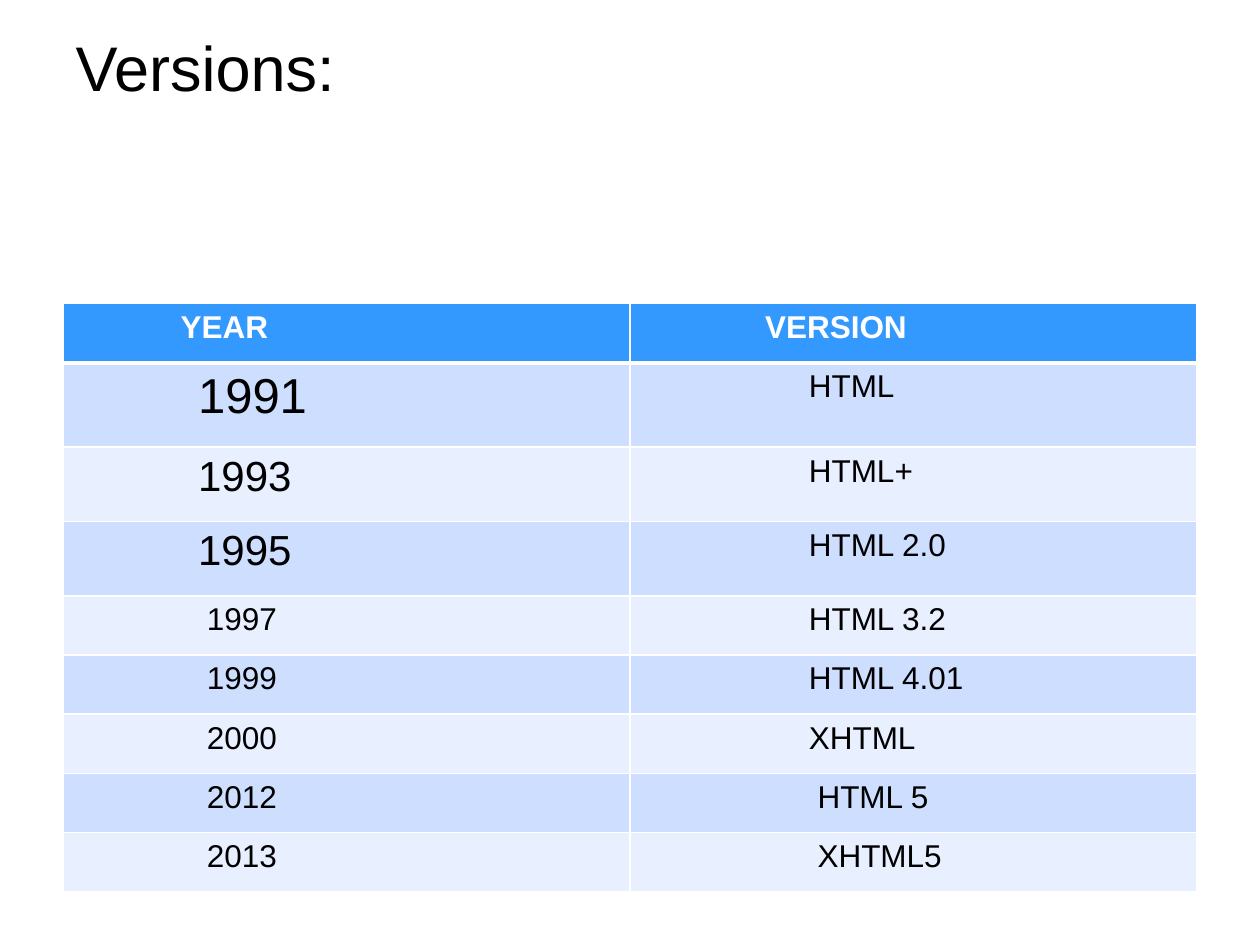
from dataclasses import dataclass

from lxml import etree
from pptx import Presentation
from pptx.dml.color import RGBColor
from pptx.enum import text
from pptx.oxml import ns
from pptx.util import Pt


@dataclass(frozen=True)
class Theme:
    font: str = "Arial"
    ink: str = "000000"
    paper: str = "FFFFFF"
    header: str = "3399FF"
    bands: tuple = ("CEDEFF", "E8EFFF")
    title_size: int = 36
    body_size: int = 18
    thin: int = 1
    thick: int = 3


@dataclass(frozen=True)
class Box:
    left: float
    top: float
    width: float
    height: float


THEME = Theme()
MARGIN = 7.2
HEADINGS = (("YEAR", 60), ("VERSION", 70))
VERSIONS = (
    ("1991", 28, 70, "HTML", 95),
    ("1993", 24, 70, "HTML+", 95),
    ("1995", 24, 70, "HTML 2.0", 95),
    ("1997", 18, 75, "HTML 3.2", 95),
    ("1999", 18, 75, "HTML 4.01", 95),
    ("2000", 18, 75, "XHTML", 95),
    ("2012", 18, 75, "HTML 5", 100),
    ("2013", 18, 75, "XHTML5", 100),
)
ROW_HEIGHTS = {18: 33.84, 24: 42.48, 28: 48.24}


def style_font(font, size, color, bold=False):
    font.name = THEME.font
    font.size = Pt(size)
    font.bold = bold
    font.color.rgb = RGBColor.from_string(color)


def set_borders(cell, top, bottom):
    properties = cell._tc.get_or_add_tcPr()
    widths = {"lnL": THEME.thin, "lnR": THEME.thin, "lnT": top, "lnB": bottom}
    for side, width in widths.items():
        line = etree.SubElement(properties, ns.qn(f"a:{side}"), w=str(Pt(width)))
        fill = etree.SubElement(line, ns.qn("a:solidFill"))
        etree.SubElement(fill, ns.qn("a:srgbClr"), val=THEME.paper)


def fill_cell(cell, words, indent, size, color, fill, bold=False):
    cell.fill.solid()
    cell.fill.fore_color.rgb = RGBColor.from_string(fill)
    cell.margin_left = Pt(MARGIN + indent)
    para = cell.text_frame.paragraphs[0]
    para.text = words
    style_font(para.font, size, color, bold)


def place_title(page, box):
    title = page.shapes.title
    title.left, title.top = Pt(box.left), Pt(box.top)
    title.width, title.height = Pt(box.width), Pt(box.height)
    title.text_frame.vertical_anchor = text.MSO_ANCHOR.MIDDLE
    para = title.text_frame.paragraphs[0]
    para.text = "Versions:"
    para.alignment = text.PP_ALIGN.LEFT
    style_font(para.font, THEME.title_size, THEME.ink)


def place_versions(page, box):
    frame = page.shapes.add_table(
        len(VERSIONS) + 1, len(HEADINGS),
        Pt(box.left), Pt(box.top), Pt(box.width), Pt(box.height),
    )
    table = frame.table
    for column in table.columns:
        column.width = Pt(box.width / len(HEADINGS))
    sizes = [THEME.body_size] + [version[1] for version in VERSIONS]
    for index, (row, size) in enumerate(zip(table.rows, sizes)):
        row.height = Pt(ROW_HEIGHTS[size])
        for cell in row.cells:
            set_borders(
                cell,
                THEME.thick if index == 1 else THEME.thin,
                THEME.thick if index == 0 else THEME.thin,
            )
    for column, (heading, indent) in enumerate(HEADINGS):
        fill_cell(table.cell(0, column), heading, indent, THEME.body_size,
                  THEME.paper, THEME.header, bold=True)
    for index, (year, size, year_indent, name, name_indent) in enumerate(VERSIONS):
        band = THEME.bands[index % 2]
        fill_cell(table.cell(index + 1, 0), year, year_indent, size, THEME.ink, band)
        fill_cell(table.cell(index + 1, 1), name, name_indent, THEME.body_size,
                  THEME.ink, band)


def main():
    deck = Presentation()
    deck.slide_width, deck.slide_height = Pt(720), Pt(540)
    page = deck.slides.add_slide(deck.slide_layouts[5])
    place_title(page, Box(36, 15.12, 648, 46.08))
    place_versions(page, Box(36, 173.5, 648, 336.24))
    deck.save("out.pptx")


if __name__ == "__main__":
    main()
